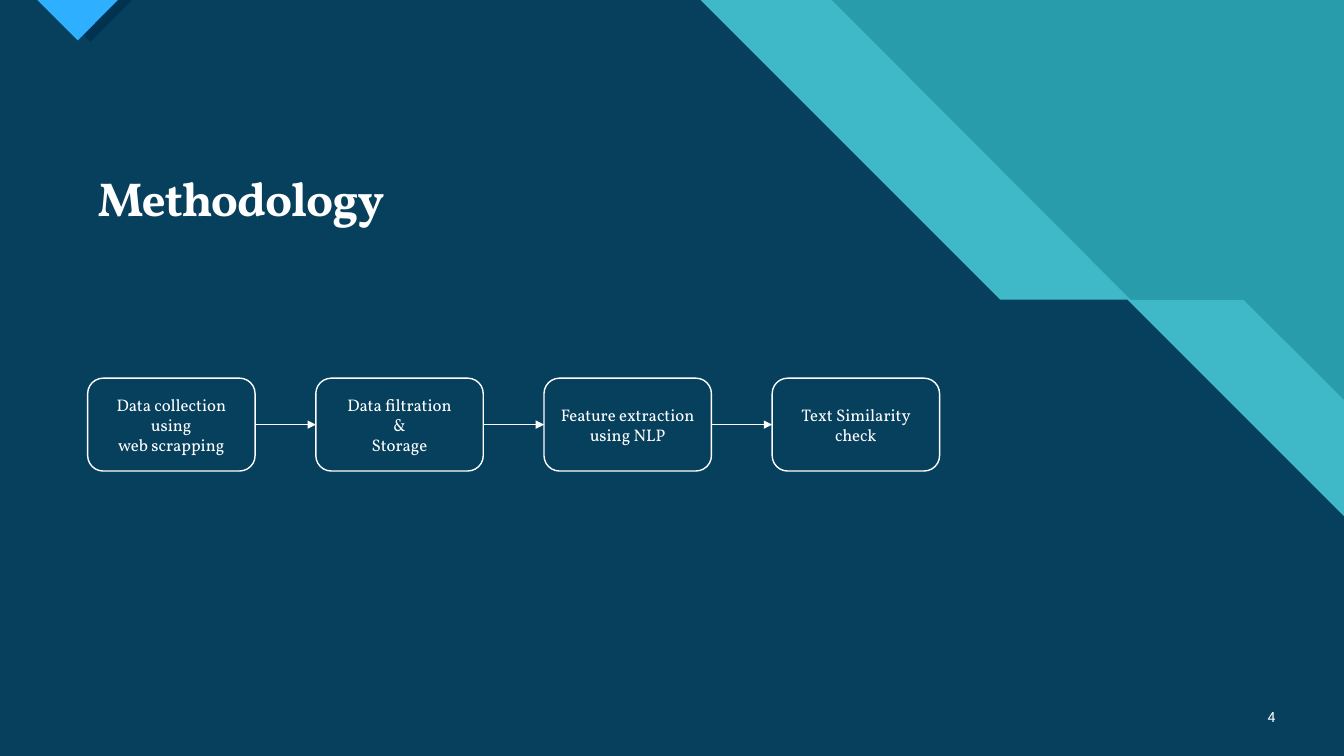
from itertools import pairwise

from lxml.etree import SubElement
from pptx import Presentation
from pptx.dml.color import RGBColor
from pptx.enum.shapes import MSO_CONNECTOR, MSO_SHAPE
from pptx.enum.text import MSO_ANCHOR, PP_ALIGN
from pptx.oxml.ns import qn
from pptx.util import Cm, Pt

WHITE = RGBColor(0xFF, 0xFF, 0xFF)
NAVY = RGBColor(0x00, 0x33, 0x52)
TEAL = RGBColor(0x29, 0x9C, 0xAB)
AQUA = RGBColor(0x47, 0xC3, 0xD3)
BLUE = RGBColor(0x2F, 0xAF, 0xFF)

# Slide size and flow chart grid, in cm
W, H = 33.87, 19.05
BOX_LEFT, BOX_TOP, BOX_W, BOX_H, BOX_PITCH = 2.21, 9.53, 4.22, 2.34, 5.75

STEPS = [
    ["Data collection using", "web scrapping"],
    ["Data filtration", "&", "Storage"],
    ["Feature extraction using NLP"],
    ["Text Similarity check"],
]


def write(sp, lines, *, size, font="Vollkorn", bold=False, align=PP_ALIGN.LEFT,
          anchor=MSO_ANCHOR.TOP, spacing=None, tracking=None):
    tf = sp.text_frame
    tf.word_wrap = True
    tf.vertical_anchor = anchor
    for i, line in enumerate(lines):
        p = tf.paragraphs[0] if i == 0 else tf.add_paragraph()
        p.alignment = align
        p.line_spacing = spacing
        r = p.add_run()
        r.text = line
        r.font.name = font
        r.font.size = Pt(size)
        r.font.bold = bold
        r.font.color.rgb = WHITE
        if tracking is not None:
            r.font._element.set("spc", str(round(tracking * 100)))


def add_text(s, x, y, w, h, lines, **fmt):
    write(s.shapes.add_textbox(Cm(x), Cm(y), Cm(w), Cm(h)), lines, **fmt)


def add_polygon(s, points, color, opacity=100):
    pts = [(Cm(x), Cm(y)) for x, y in points]
    builder = s.shapes.build_freeform(*pts[0])
    builder.add_line_segments(pts[1:], close=True)
    sp = builder.convert_to_shape()
    sp.shadow.inherit = False
    sp.fill.solid()
    sp.fill.fore_color.rgb = color
    sp.line.fill.background()
    if opacity < 100:
        clr = sp._element.spPr.find(qn("a:solidFill"))[0]
        SubElement(clr, qn("a:alpha"), val=str(opacity * 1000))


def add_step(s, x, lines):
    sp = s.shapes.add_shape(MSO_SHAPE.ROUNDED_RECTANGLE,
                            Cm(x), Cm(BOX_TOP), Cm(BOX_W), Cm(BOX_H))
    sp.shadow.inherit = False
    sp.fill.background()
    sp.line.color.rgb = WHITE
    sp.line.width = Pt(1)
    write(sp, lines, size=12, align=PP_ALIGN.CENTER, anchor=MSO_ANCHOR.MIDDLE)
    return sp


def add_arrow(s, source, target):
    cx = s.shapes.add_connector(MSO_CONNECTOR.STRAIGHT, 0, 0, 0, 0)
    cx.begin_connect(source, 3)
    cx.end_connect(target, 1)
    cx.line.color.rgb = WHITE
    cx.line.width = Pt(0.5)
    SubElement(cx.line._get_or_add_ln(), qn("a:tailEnd"), type="triangle")
    SubElement(cx._element.spPr, qn("a:effectLst"))


def add_backdrop(s):
    s.background.fill.solid()
    s.background.fill.fore_color.rgb = TEAL
    # Aqua band, then the navy field over it
    add_polygon(s, [(0, 0), (20.96, 0), (28.5, 7.56), (31.34, 7.56),
                    (W, 10.08), (W, H), (0, H)], AQUA, 74)
    add_polygon(s, [(0, 0), (17.65, 0), (25.2, 7.55), (28.41, 7.55),
                    (W, 13.01), (W, H), (0, H)], NAVY, 90)
    # Corner marker with its dark shade
    add_polygon(s, [(1.22, 0), (3.33, 0), (2.28, 1.05)], NAVY)
    add_polygon(s, [(0.94, 0), (2.97, 0), (1.96, 1.02)], BLUE)


def main():
    prs = Presentation()
    prs.slide_width, prs.slide_height = Cm(W), Cm(H)
    s = prs.slides.add_slide(prs.slide_layouts[6])
    add_backdrop(s)

    # Title and slide number
    add_text(s, 2.21, 4.29, 31.14, 1.57, ["Methodology"], size=34, bold=True,
             spacing=0.9, tracking=-0.7)
    add_text(s, 31.27, 17.55, 1.12, 1.02, ["4"], size=10, font="Roboto",
             align=PP_ALIGN.RIGHT, anchor=MSO_ANCHOR.MIDDLE)

    # Flow chart
    boxes = [add_step(s, BOX_LEFT + i * BOX_PITCH, lines)
             for i, lines in enumerate(STEPS)]
    for source, target in pairwise(boxes):
        add_arrow(s, source, target)

    prs.save("out.pptx")


main()
